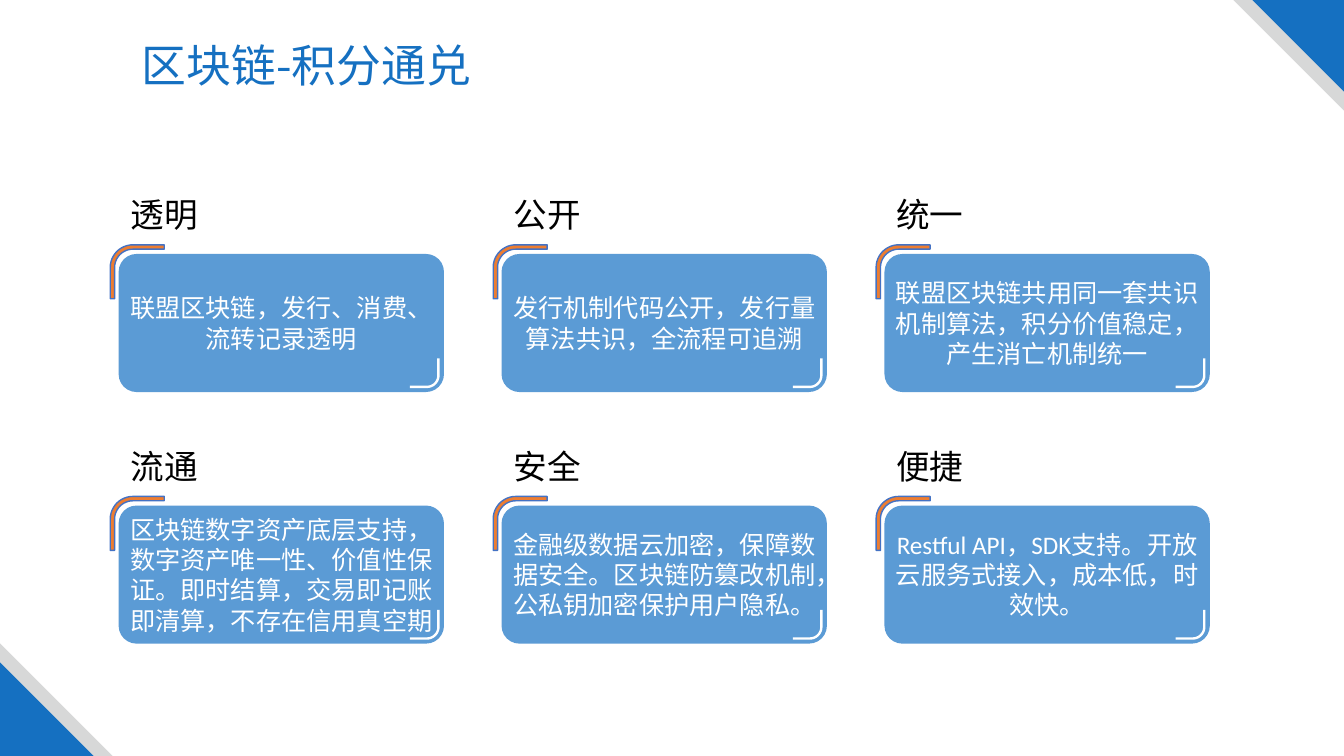
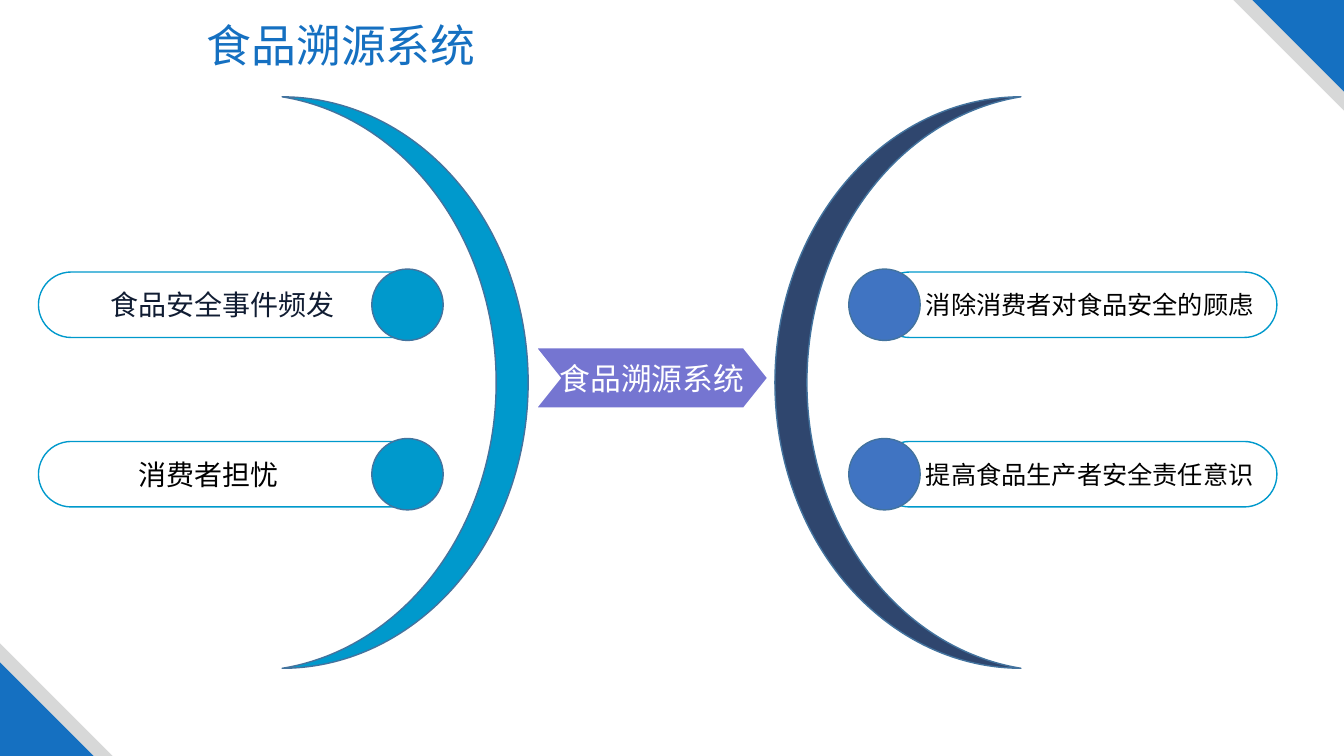
from math import cos, pi, sin

from lxml.etree import SubElement
from pptx import Presentation
from pptx.dml.color import RGBColor
from pptx.enum.shapes import MSO_SHAPE as Preset
from pptx.enum.text import MSO_ANCHOR as Anchor, PP_ALIGN as Align
from pptx.oxml.ns import qn
from pptx.util import Cm, Pt

WIDTH, HEIGHT = 33.87, 19.05  # all lengths in centimetres

COLORS = {
    "blue": "1570C1", "gray": "D7D8D8", "white": "FFFFFF", "black": "000000",
    "card": "5B9BD5", "orange": "ED7D31", "bracket_line": "4472C4",
    "cyan": "0099CC", "navy": "203864", "outline": "43739E",
    "dot": "4074C2", "violet": "7575D1", "ink": "101C32",
}
TITLE_FONT, BODY_FONT, HEADING_FONT = "Noto Sans CJK SC", "Calibri", "Arial"

FEATURES = [
    ("透明", "联盟区块链，发行、消费、流转记录透明"),
    ("公开", "发行机制代码公开，发行量算法共识，全流程可追溯"),
    ("统一", "联盟区块链共用同一套共识机制算法，积分价值稳定，产生消亡机制统一"),
    ("流通", "区块链数字资产底层支持，数字资产唯一性、价值性保证。"
             "即时结算，交易即记账即清算，不存在信用真空期"),
    ("安全", "金融级数据云加密，保障数据安全。区块链防篡改机制，公私钥加密保护用户隐私。"),
    ("便捷", "Restful API，SDK支持。开放云服务式接入，成本低，时效快。"),
]
SYSTEM = "食品溯源系统"
SIDES = [
    {"moon": (7.11, 180, "cyan", None), "pill": (0.97, 9.86),
     "dot": (9.37, "cyan"), "size": 20,
     "labels": [("食品安全事件频发", 5.61, "ink"), ("消费者担忧", 5.26, "black")]},
    {"moon": (19.53, 0, "navy", 93), "pill": (22.1, 10.08),
     "dot": (21.39, "dot"), "size": 18,
     "labels": [("消除消费者对食品安全的顾虑", 27.46, "black"),
                ("提高食品生产者安全责任意识", 27.46, "black")]},
]

CARD_LEFT, CARD_TOP, CARD_WIDTH, CARD_HEIGHT = 2.99, 6.4, 8.2, 3.48
CARD_STEP_X, CARD_STEP_Y, CARD_COLUMNS = 9.65, 6.34, 3
ROW_CENTER, ROW_STEP = 7.68, 4.27
PILL_HEIGHT, DOT_SIZE = 1.65, 1.8


def color(name):
    return RGBColor.from_string(COLORS[name])


def paint(shape, fill=None, line=None, alpha=None):
    """Set fill and one-point outline; alpha is an opacity in percent."""
    shape.shadow.inherit = False
    if fill:
        shape.fill.solid()
        shape.fill.fore_color.rgb = color(fill)
        if alpha:
            tint = shape.fill._xPr.find(qn("a:solidFill"))[0]
            SubElement(tint, qn("a:alpha"), val=str(alpha * 1000))
    else:
        shape.fill.background()
    if line:
        shape.line.color.rgb = color(line)
        shape.line.width = Pt(1)
    else:
        shape.line.fill.background()


def add_shape(slide, preset, box, fill=None, line=None, adjust=(), alpha=None):
    shape = slide.shapes.add_shape(preset, *map(Cm, box))
    for index, value in enumerate(adjust):
        shape.adjustments[index] = value
    paint(shape, fill, line, alpha)
    return shape


def write(shape, text, size, ink, font=BODY_FONT, align=Align.CENTER, wrap=True):
    frame = shape.text_frame
    frame.word_wrap = wrap
    frame.vertical_anchor = Anchor.MIDDLE
    paragraph = frame.paragraphs[0]
    paragraph.alignment = align
    run = paragraph.add_run()
    run.text = text
    run.font.size = Pt(size)
    run.font.name = font
    run.font.color.rgb = color(ink)
    SubElement(run._r.get_or_add_rPr(), qn("a:ea"), typeface=font)


def add_text(slide, box, *args, **options):
    write(slide.shapes.add_textbox(*map(Cm, box)), *args, **options)


def add_bracket(slide, x, y, direction, size, radius, thickness, fill, line=None):
    """Rounded corner at x, y whose arms run right and down (1) or left and up (-1)."""
    def arc(curve, steps=12):
        angles = [pi / 2 * step / steps for step in range(steps + 1)]
        return [(radius - curve * sin(a), radius - curve * cos(a)) for a in angles]

    outline = [(size, 0), *arc(radius), (0, size), (thickness, size),
               *reversed(arc(radius - thickness)), (size, thickness)]
    points = [(Cm(x + direction * dx), Cm(y + direction * dy)) for dx, dy in outline]
    builder = slide.shapes.build_freeform(*points[0], scale=1.0)
    builder.add_line_segments(points[1:], close=True)
    paint(builder.convert_to_shape(), fill, line)


def add_slide(presentation, title, title_center, title_top):
    slide = presentation.slides.add_slide(presentation.slide_layouts[6])
    for top_size, bottom_size, fill in ((2.79, 2.84, "gray"), (2.31, 2.36, "blue")):
        top = add_shape(slide, Preset.RIGHT_TRIANGLE,
                        (WIDTH - top_size, 0, top_size, top_size), fill)
        top.rotation = 180
        add_shape(slide, Preset.RIGHT_TRIANGLE,
                  (0, HEIGHT - bottom_size, bottom_size, bottom_size), fill)
    add_text(slide, (title_center - 7.5, title_top, 15, 1.63),
             title, 32, "blue", TITLE_FONT)
    return slide


def add_card(slide, x, y, heading, body):
    card = add_shape(slide, Preset.ROUNDED_RECTANGLE,
                     (x, y, CARD_WIDTH, CARD_HEIGHT), "card", adjust=[0.13])
    card.text_frame.margin_left = card.text_frame.margin_right = Cm(0.11)
    write(card, body, 18, "white")
    add_bracket(slide, x + CARD_WIDTH - 0.11, y + CARD_HEIGHT - 0.1, -1,
                0.75, 0.32, 0.06, "white")
    add_bracket(slide, x - 0.21, y - 0.23, 1, 1.36, 0.57, 0.11,
                "orange", "bracket_line")
    add_text(slide, (x + 0.05, y - 1.8, 5, 1.6), heading, 24, "black",
             HEADING_FONT, Align.LEFT)


def build_features(presentation):
    slide = add_slide(presentation, "区块链-积分通兑", 7.72, 0.81)
    for index, (heading, body) in enumerate(FEATURES):
        row, column = divmod(index, CARD_COLUMNS)
        add_card(slide, CARD_LEFT + column * CARD_STEP_X,
                 CARD_TOP + row * CARD_STEP_Y, heading, body)


def build_tracing(presentation):
    slide = add_slide(presentation, SYSTEM, 8.6, 0.3)
    arrow = add_shape(slide, Preset.NOTCHED_RIGHT_ARROW, (13.51, 8.74, 5.84, 1.57),
                      "violet", "white", [0.97, 0.4])
    write(arrow, SYSTEM, 22, "white", wrap=False)
    for side in SIDES:
        left, rotation, fill, alpha = side["moon"]
        moon = add_shape(slide, Preset.MOON, (left, 2.44, 6.2, 14.4),
                         fill, "outline", [0.13], alpha)
        moon.rotation = rotation
        pill_left, pill_width = side["pill"]
        dot_left, dot_fill = side["dot"]
        for row, (label, center, ink) in enumerate(side["labels"]):
            middle = ROW_CENTER + row * ROW_STEP
            pill_top = middle - PILL_HEIGHT / 2
            add_shape(slide, Preset.ROUNDED_RECTANGLE,
                      (pill_left, pill_top, pill_width, PILL_HEIGHT),
                      line="cyan", adjust=[0.5])
            add_shape(slide, Preset.OVAL,
                      (dot_left, middle - DOT_SIZE / 2, DOT_SIZE, DOT_SIZE),
                      dot_fill, "outline")
            add_text(slide, (center - 4.4, pill_top, 8.8, PILL_HEIGHT),
                     label, side["size"], ink)


def main():
    presentation = Presentation()
    presentation.slide_width, presentation.slide_height = Cm(WIDTH), Cm(HEIGHT)
    build_features(presentation)
    build_tracing(presentation)
    presentation.save("out.pptx")


if __name__ == "__main__":
    main()
